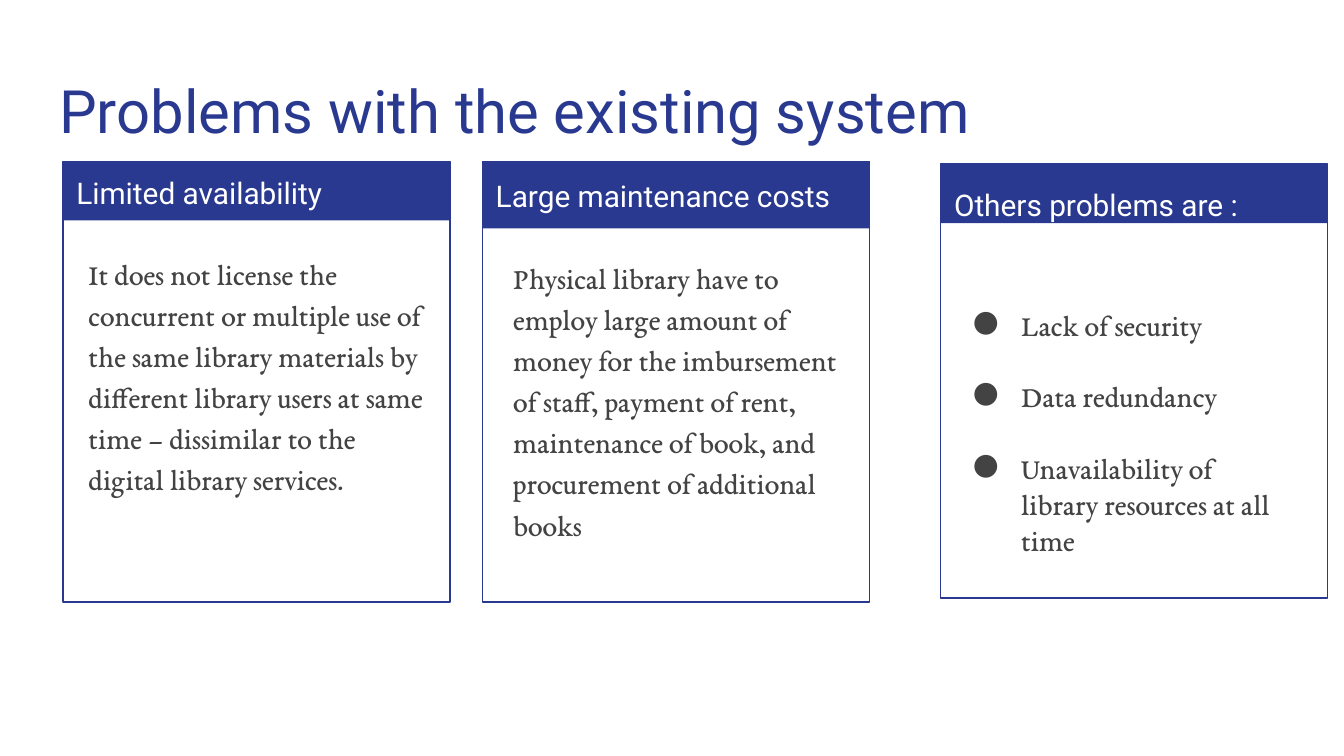
from lxml.etree import SubElement
from pptx import Presentation
from pptx.dml.color import RGBColor
from pptx.enum.shapes import MSO_SHAPE as Shape
from pptx.enum.text import MSO_ANCHOR as Anchor, PP_ALIGN as Align
from pptx.oxml.ns import qn
from pptx.util import Inches, Pt

COLORS = {"navy": "2A3990", "body": "434343", "white": "FFFFFF"}
CARD_WIDTH = 2.88


def color(name):
    """Return the named colour."""
    return RGBColor.from_string(COLORS[name])


def place(shape, left, top, width, height):
    """Move and size a shape in inches."""
    shape.left, shape.top = Inches(left), Inches(top)
    shape.width, shape.height = Inches(width), Inches(height)


def prepare(frame):
    """Set wrapping, top anchoring and even margins."""
    frame.word_wrap = True
    frame.vertical_anchor = Anchor.TOP
    frame.margin_left = frame.margin_right = Inches(0.1)
    frame.margin_top = frame.margin_bottom = Inches(0.1)


def style(para, font, size, tint):
    """Format a left-aligned paragraph."""
    para.alignment = Align.LEFT
    para.font.name = font
    para.font.size = Pt(size)
    para.font.color.rgb = color(tint)


def add_title(page, text):
    """Fill and format the title placeholder."""
    title = page.shapes.title
    place(title, 0.34, 0.45, 9.32, 0.66)
    title.text = text
    prepare(title.text_frame)
    style(title.text_frame.paragraphs[0], "Roboto", 32, "navy")


def add_text(page, area, text, font, tint, spacing=1.0):
    """Add a text box with one paragraph per line of text."""
    box = page.shapes.add_textbox(*map(Inches, area))
    frame = box.text_frame
    frame.text = text
    prepare(frame)
    for para in frame.paragraphs:
        style(para, font, 16, tint)
        para.line_spacing = spacing
    return frame


def add_card(page, left, top, height, header_height):
    """Add a grouped card with a filled header and an outlined frame."""
    card = page.shapes.add_group_shape()
    for part_height, filled in ((header_height, True), (height, False)):
        part = card.shapes.add_shape(
            Shape.RECTANGLE, Inches(left), Inches(top),
            Inches(CARD_WIDTH), Inches(part_height))
        part.shadow.inherit = False
        if filled:
            part.fill.solid()
            part.fill.fore_color.rgb = color("navy")
            part.line.fill.background()
        else:
            part.fill.background()
            part.line.color.rgb = color("navy")
            part.line.width = Pt(0.75)


def add_bullet(para):
    """Give a paragraph a hanging bullet."""
    props = para._p.get_or_add_pPr()
    props.set("marL", str(Inches(0.5)))
    props.set("indent", str(Inches(-0.36)))
    defaults = props.find(qn("a:defRPr"))
    tint = SubElement(props, qn("a:buClr"))
    SubElement(tint, qn("a:srgbClr"), val=COLORS["body"])
    SubElement(props, qn("a:buSzPts"), val="1600")
    SubElement(props, qn("a:buFont"), typeface="EB Garamond")
    SubElement(props, qn("a:buChar"), char="●")
    props.append(defaults)


def add_bullets(page, area, items):
    """Add a bulleted list with a line of space between items."""
    frame = add_text(page, area, "\n".join(items), "EB Garamond", "body")
    frame.margin_top = Inches(0.59)
    frame.margin_right = Inches(0.33)
    for index, para in enumerate(frame.paragraphs):
        para.space_before = Pt(19.2 if index else 0)
        add_bullet(para)


def main():
    """Build and save the deck."""
    deck = Presentation()
    deck.slide_width = Inches(10)
    deck.slide_height = deck.slide_width * 9 // 16
    page = deck.slides.add_slide(deck.slide_layouts[5])
    add_title(page, "Problems with the existing system")

    add_card(page, 0.47, 1.2, 3.28, 0.44)
    add_card(page, 3.59, 1.2, 3.28, 0.5)
    add_card(page, 7, 1.22, 3.23, 0.44)

    add_text(page, (0.56, 1.76, 2.71, 2.3),
             "It does not license the concurrent or multiple use of the same "
             "library materials by different library users at same time – "
             "dissimilar to the digital library services.",
             "EB Garamond", "body", 1.15)
    add_text(page, (3.72, 1.79, 2.71, 2.24),
             "Physical library have to employ large amount of money for the "
             "imbursement of staff, payment of rent, maintenance of book, and "
             "procurement of additional books",
             "EB Garamond", "body", 1.15)
    add_bullets(page, (7, 1.69, CARD_WIDTH, 2.68),
                ["Lack of security", "Data redundancy",
                 "Unavailability of library resources at all time"])

    for left, top, text, spacing in (
            (0.47, 1.2, "Limited availability", 1.0),
            (3.59, 1.22, "Large maintenance costs", 1.0),
            (7, 1.25, "Others problems are :", 1.15)):
        add_text(page, (left, top, CARD_WIDTH, 0.47), text,
                 "Roboto", "white", spacing)
    deck.save("out.pptx")


if __name__ == "__main__":
    main()
